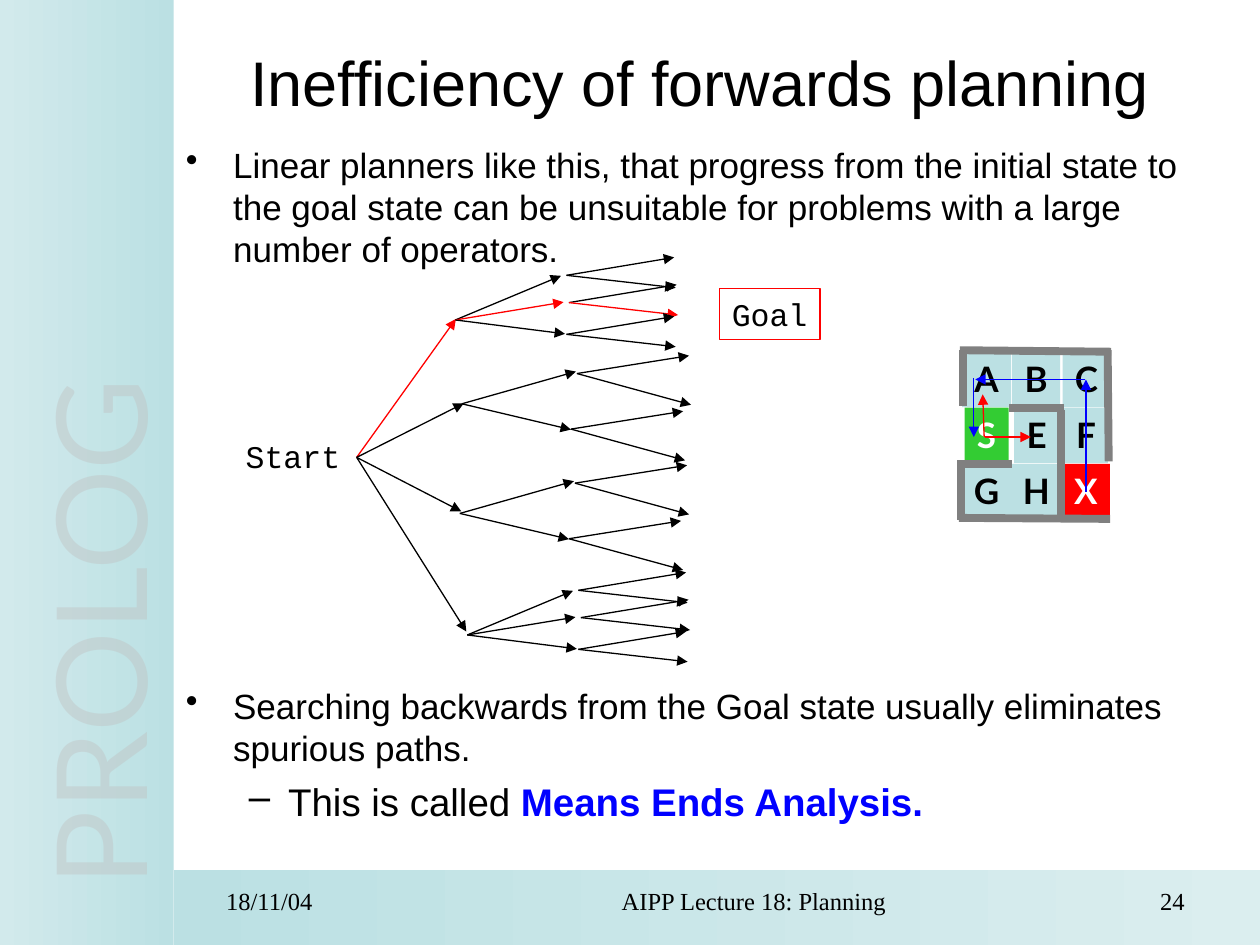
from lxml import etree
from pptx import Presentation
from pptx.dml.color import RGBColor
from pptx.enum.shapes import MSO_CONNECTOR, MSO_SHAPE
from pptx.enum.text import MSO_ANCHOR, MSO_AUTO_SIZE, PP_ALIGN
from pptx.oxml.ns import qn
from pptx.util import Cm, Pt

STRAIGHT, RECTANGLE = MSO_CONNECTOR.STRAIGHT, MSO_SHAPE.RECTANGLE
LEFT, CENTER, RIGHT = PP_ALIGN.LEFT, PP_ALIGN.CENTER, PP_ALIGN.RIGHT
TOP, MIDDLE = MSO_ANCHOR.TOP, MSO_ANCHOR.MIDDLE
FIT_SHAPE = MSO_AUTO_SIZE.SHAPE_TO_FIT_TEXT

COLORS = {
    "black": "000000", "white": "FFFFFF", "red": "FF0000", "blue": "0000FF",
    "green": "33CC33", "wall": "808080", "teal": "BBE0E3", "side": "D2EAEC",
    "footer": "DBEEEF", "silver": "C0C0C0", "pale": "ECECEC",
}

# All positions and lengths are in centimetres.
BANDS = [  # box, right colour, left colour
    ((3.5, 17.53, 21.9, 1.52), "footer", "teal"),
    ((0, 0, 3.5, 19.05), "teal", "side"),
]
SIDE_WORD = ("PROLOG", (-7.04, 8.05, 17.4, 2.72))
TITLE = ("Inefficiency of forwards planning", (3.5, 0.53, 21.21, 2.21))
BODY_BOX = (3.5, 2.77, 21.21, 14.76)
BODY = [  # runs, size, left margin, first-line indent, bullet, space before
    ([("Linear planners like this, that progress from the initial state to the "
       "goal state can be unsuitable for problems with a large number of operators.",
       False)], 20, 0.95, -0.95, "•", 0),
    ([("Searching backwards from the Goal state usually eliminates spurious paths.",
       False)], 20, 0.95, -0.95, "•", 237),
    ([("This is called ", False), ("Means Ends Analysis.", True)],
     22, 2.06, -0.79, "–", 5.5),
]
FOOTER = [  # text, left, width, alignment
    ("AIPP Lecture 18: Planning", 8.69, 12.42, CENTER),
    ("24", 21.51, 2.62, RIGHT),
    ("18/11/04", 3.71, 4.6, LEFT),
]
START = ("Start", (4.7, 8.69, 2.41, 1.02))
GOAL = ("Goal", (14.5, 5.82, 2.03, 1.02))

ROOT = (7.19, 9.22)
# Offsets from a branch node: tip of each child arrow, and where the child's
# own arrows begin. Leaf offsets count from there.
FAN = {
    "children": [((2.13, -0.89), (2.24, -0.9)), ((2.18, -0.36), (2.29, -0.35)),
                 ((2.21, 0.28), (2.24, 0.29))],
    "leaves": [(2.17, -0.36), (2.2, 0.25)],
}
PAIR = {
    "children": [((2.3, -0.65), (2.32, -0.61)), ((2.2, 0.52), (2.2, 0.51))],
    "leaves": [(2.26, -0.36), (2.3, 0.63)],
}
BRANCHES = [  # tip of the arrow from the root, branch node, pattern
    ((9.19, 6.43), (9.18, 6.45), FAN),
    ((9.35, 8.13), (9.31, 8.14), PAIR),
    ((9.3, 10.31), (9.27, 10.35), PAIR),
    ((9.4, 12.73), (9.42, 12.8), FAN),
]
SOLUTION = {(0,), (0, 1), (0, 1, 1)}

ROOMS = [  # letter and width, row by row
    [("A", 0.99), ("B", 0.97), ("C", 0.94)],
    [("S", 0.89), ("E", 0.89), ("F", 0.89)],
    [("G", 1.02), ("H", 1.04), ("X", 0.97)],
]
ROOM_FILL = {"S": "green", "X": "red"}
FIRST_CENTER, ROOM_PITCH = 19.89, 1
FIRST_TOP, ROW_PITCH, ROOM_HEIGHT = 7.09, 1.13, 1.12
WALLS = [
    ((19.41, 7.06), (19.41, 8.18)), ((19.38, 9.37), (19.38, 10.49)),
    ((21.39, 8.26), (21.39, 9.37)), ((21.39, 9.35), (21.39, 10.44)),
    ((22.33, 7.06), (22.35, 9.3)), ((20.35, 8.23), (21.44, 8.23)),
    ((19.3, 9.35), (20.4, 9.35)), ((19.33, 10.44), (22.38, 10.46)),
    ((19.35, 7.06), (22.4, 7.09)),
]
ROUTES = [
    ((19.86, 8.81), (20.78, 8.81), "red"), ((19.84, 8.81), (19.81, 7.95), "red"),
    ((21.89, 9.91), (21.89, 7.65), "blue"), ((21.87, 7.65), (19.66, 7.65), "blue"),
    ((19.63, 7.62), (19.63, 8.81), "blue"),
]


def rgb(name):
    return RGBColor.from_string(COLORS[name])


def set_gradient(fill, *names):
    fill.gradient()
    fill.gradient_angle = 180
    for stop, name in zip(fill.gradient_stops, names):
        stop.color.rgb = rgb(name)


def style(font, face, size, color="black", bold=None):
    font.name, font.size, font.bold = face, Pt(size), bold
    font.color.rgb = rgb(color)


def add_text_box(box):
    return slide.shapes.add_textbox(*map(Cm, box))


def add_rectangle(box):
    rectangle = slide.shapes.add_shape(RECTANGLE, *map(Cm, box))
    rectangle.shadow.inherit = False
    rectangle.fill.background()
    rectangle.line.fill.background()
    return rectangle


def write(shape, text, face, size, align=CENTER, anchor=TOP, wrap=False,
          color="black", bold=None):
    """Put one styled paragraph in the shape and return it."""
    frame = shape.text_frame
    frame.word_wrap, frame.vertical_anchor = wrap, anchor
    if not wrap:
        frame.auto_size = FIT_SHAPE
    paragraph = frame.paragraphs[0]
    paragraph.text, paragraph.alignment = text, align
    style(paragraph.font, face, size, color, bold)
    return paragraph


def set_indent(paragraph, left, first, bullet=None):
    properties = paragraph._p.get_or_add_pPr()
    properties.set("marL", str(Cm(left)))
    properties.set("indent", str(Cm(first)))
    if bullet:
        etree.SubElement(properties, qn("a:buChar"), char=bullet)


def add_line(begin, end, color="black", width=0.75, arrow=True):
    line = slide.shapes.add_connector(STRAIGHT, *map(Cm, begin + end))
    line.line.color.rgb = rgb(color)
    line.line.width = Pt(width)
    properties = line._element.spPr
    if arrow:
        etree.SubElement(properties.find(qn("a:ln")), qn("a:tailEnd"), type="triangle")
    etree.SubElement(properties, qn("a:effectLst"))


def shift(point, offset):
    return point[0] + offset[0], point[1] + offset[1]


def add_branch(index, tip, node, pattern):
    def add_edge(begin, end, *steps):
        add_line(begin, end, "red" if steps in SOLUTION else "black")

    add_edge(ROOT, tip, index)
    for c, (child_tip, child) in enumerate(pattern["children"]):
        add_edge(node, shift(node, child_tip), index, c)
        child_node = shift(node, child)
        for leaf_number, leaf in enumerate(pattern["leaves"]):
            add_edge(child_node, shift(child_node, leaf), index, c, leaf_number)


prs = Presentation()
prs.slide_width, prs.slide_height = Cm(25.4), Cm(19.05)
slide = prs.slides.add_slide(prs.slide_layouts[6])

for box, right, left in BANDS:
    set_gradient(add_rectangle(box).fill, right, left)

word, box = SIDE_WORD
side_box = add_text_box(box)
side_box.rotation = 270
side_run = write(side_box, word, "Lato", 72, align=LEFT).runs[0]
set_gradient(side_run.font.fill, "silver", "pale")
first_stop = next(side_run._r.iter(qn("a:srgbClr")))
etree.SubElement(first_stop, qn("a:alpha"), val="42000")

title, box = TITLE
write(add_text_box(box), title, "Arial", 36, anchor=MIDDLE, wrap=True)

body = add_text_box(BODY_BOX).text_frame
body.word_wrap = True
for i, (runs, size, left, first, bullet, before) in enumerate(BODY):
    paragraph = body.add_paragraph() if i else body.paragraphs[0]
    set_indent(paragraph, left, first, bullet)
    if before:
        paragraph.space_before = Pt(before)
    style(paragraph.font, "Arial", size)
    for text, key_term in runs:
        run = paragraph.add_run()
        run.text = text
        if key_term:
            run.font.bold = True
            run.font.color.rgb = rgb("blue")

write(add_text_box(START[1]), START[0], "Courier New", 18)
goal = add_rectangle(GOAL[1])
goal.line.color.rgb, goal.line.width = rgb("red"), Pt(0.75)
write(goal, GOAL[0], "Courier New", 18)

for i, branch in enumerate(BRANCHES):
    add_branch(i, *branch)

for r, row in enumerate(ROOMS):
    for c, (letter, width) in enumerate(row):
        room = add_rectangle((FIRST_CENTER + c * ROOM_PITCH - width / 2,
                              FIRST_TOP + r * ROW_PITCH, width, ROOM_HEIGHT))
        room.fill.solid()
        room.fill.fore_color.rgb = rgb(ROOM_FILL.get(letter, "teal"))
        write(room, letter, "Lato", 20, bold=True,
              color="white" if letter in ROOM_FILL else "black")
for begin, end in WALLS:
    add_line(begin, end, "wall", 4.5, arrow=False)
for begin, end, color in ROUTES:
    add_line(begin, end, color)

for text, left, width, align in FOOTER:
    note = write(add_text_box((left, 17.73, width, 0.94)), text,
                 "Times New Roman", 14, align, wrap=True)
    set_indent(note, 0.6, 0)

prs.save("out.pptx")
